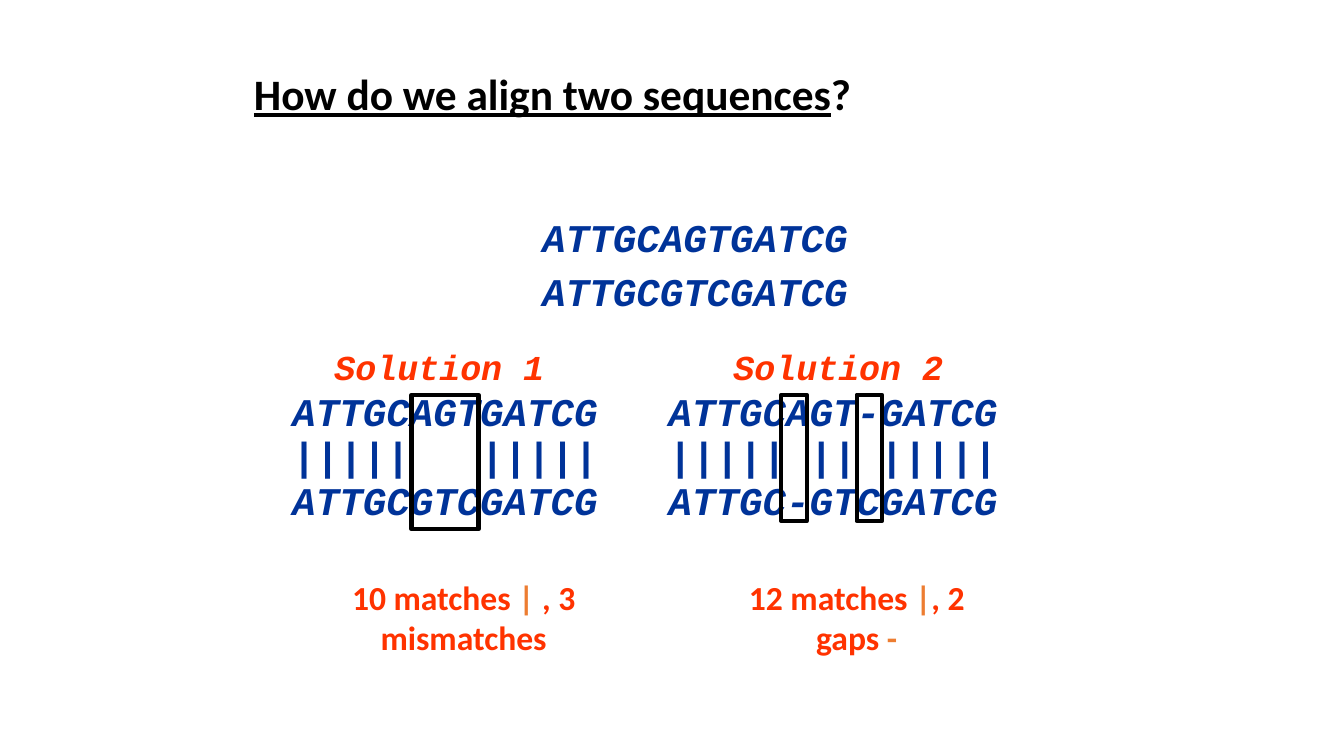
from lxml import etree
from pptx import Presentation
from pptx.dml.color import RGBColor
from pptx.enum.shapes import MSO_SHAPE
from pptx.enum.text import MSO_ANCHOR, PP_ALIGN
from pptx.oxml.ns import qn
from pptx.util import Cm, Pt

RECT = MSO_SHAPE.RECTANGLE
TOP, MIDDLE = MSO_ANCHOR.TOP, MSO_ANCHOR.MIDDLE
LEFT, CENTER = PP_ALIGN.LEFT, PP_ALIGN.CENTER


class Theme:
    sans, mono = "Calibri", "Courier New"
    black, blue, red, orange = "000000", "003399", "FF3300", "ED7D31"
    title, base, label, score = 31, 28, 25, 24
    gap, frame = 15, 3


# A line of text is a list of (words, colour) runs.
TITLE = [("How do we align two sequences", Theme.black), ("?", Theme.black)]
PAIR = ["ATTGCAGTGATCG", "ATTGCGTCGATCG"]

# Text, type size, line spacing, colour, tab stops in letters
ALIGNED = [
    ("\tSolution 1\tSolution 2", Theme.label, 0.7, Theme.red, (2, 21)),
    ("ATTGCAGTGATCG\tATTGCAGT-GATCG", Theme.base, 0.5, Theme.blue, (16,)),
    ("|||||\t|||||\t||||| || |||||", Theme.base, 0.5, Theme.blue, (8, 16)),
    ("ATTGCGTCGATCG\tATTGC-GTCGATCG", Theme.base, 0.5, Theme.blue, (16,)),
]

# Left, width and runs of each score
SCORES = [
    (7.62, 8.13, [("10 matches ", Theme.red), ("|", Theme.orange),
                  (" , 3 mismatches", Theme.red)]),
    (17.78, 7.62, [("12 matches ", Theme.red), ("|", Theme.orange),
                   (", 2 gaps ", Theme.red), ("-", Theme.orange)]),
]

# Left, width and height of the frames around differing letters
FRAME_TOP = 9.95
FRAMES = [(10.37, 1.69, 3.39), (19.69, 0.64, 3.18), (21.59, 0.64, 3.18)]


def add_box(slide, left, top, width, height, anchor=TOP, wrap=True,
            inset=(0.25, 0.13)):
    box = slide.shapes.add_textbox(Cm(left), Cm(top), Cm(width), Cm(height))
    frame = box.text_frame
    frame.word_wrap = wrap
    frame.vertical_anchor = anchor
    frame.margin_left = frame.margin_right = Cm(inset[0])
    frame.margin_top = frame.margin_bottom = Cm(inset[1])
    return frame


def add_text(frame, runs, first=True, size=Theme.base, font=Theme.mono,
             italic=False, align=LEFT, spacing=1.0, tabs=()):
    """Fill the first paragraph of a frame, or add one below it."""
    para = frame.paragraphs[0] if first else frame.add_paragraph()
    if tabs:
        stops = etree.SubElement(para._p.get_or_add_pPr(), qn("a:tabLst"))
        for column in tabs:
            place = Pt(column * size * 0.6)  # a letter is 0.6 of its size wide
            etree.SubElement(stops, qn("a:tab"), pos=str(place), algn="l")
    para.alignment = align
    para.line_spacing = spacing
    if not first:
        para.space_before = Pt(Theme.gap)
    for words, color in runs:
        run = para.add_run()
        run.text = words
        run.font.name = font
        run.font.size = Pt(size)
        run.font.bold = True
        run.font.italic = italic
        run.font.color.rgb = RGBColor.from_string(color)
    return para


def add_frame(slide, left, width, height):
    shape = slide.shapes.add_shape(RECT, Cm(left), Cm(FRAME_TOP),
                                   Cm(width), Cm(height))
    shape.shadow.inherit = False
    shape.fill.background()
    shape.line.color.rgb = RGBColor.from_string(Theme.black)
    shape.line.width = Pt(Theme.frame)


def main():
    deck = Presentation()
    deck.slide_width, deck.slide_height = Cm(33.87), Cm(19.05)
    slide = deck.slides.add_slide(deck.slide_layouts[6])

    title = add_text(add_box(slide, 6.15, 0.85, 21.59, 3.18, anchor=MIDDLE),
                     TITLE, size=Theme.title, font=Theme.sans, spacing=0.9)
    title.runs[0].font.underline = True

    tight = (0.23, 0.11)
    pair = add_box(slide, 13.44, 5.59, 8.2, 2.59, wrap=False, inset=tight)
    for row, letters in enumerate(PAIR):
        add_text(pair, [(letters, Theme.blue)], first=row == 0,
                 italic=True, spacing=0.7)

    block = add_box(slide, 7.14, 8.89, 18.95, 4.72, inset=tight)
    for row, (words, size, spacing, color, tabs) in enumerate(ALIGNED):
        add_text(block, [(words, color)], first=row == 0, size=size,
                 italic=True, spacing=spacing, tabs=tabs)

    for left, width, runs in SCORES:
        add_text(add_box(slide, left, 14.4, width, 2.31), runs,
                 size=Theme.score, font=Theme.sans, align=CENTER)

    for left, width, height in FRAMES:
        add_frame(slide, left, width, height)

    deck.save("out.pptx")


if __name__ == "__main__":
    main()
